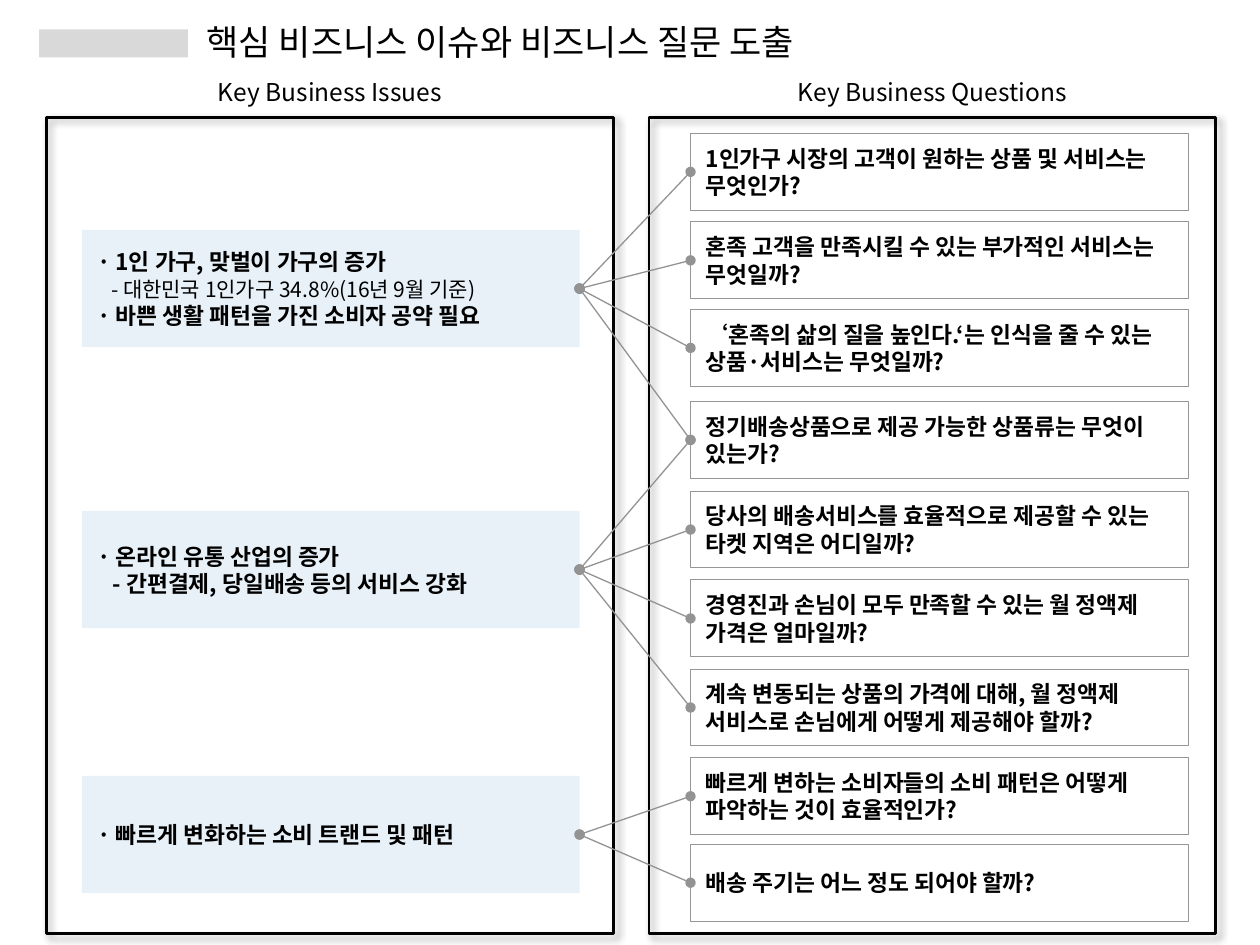
from lxml import etree
from pptx import Presentation
from pptx.dml.color import RGBColor
from pptx.enum.shapes import MSO_CONNECTOR as Connector, MSO_SHAPE as Shape
from pptx.enum.text import MSO_ANCHOR as Anchor, MSO_AUTO_SIZE as AutoSize, PP_ALIGN as Align
from pptx.oxml.ns import qn
from pptx.util import Pt

FONT = "Noto Sans CJK KR"
RIGHT_SIDE, LEFT_SIDE = 3, 1
ITEM_WIDTH = 284.4

TITLE = "핵심 비즈니스 이슈와 비즈니스 질문 도출"

# Each issue: top within the panel, lines as (text, format), linked questions
ISSUES = [
    (64.4, [("· 1인 가구, 맞벌이 가구의 증가", {}),
            ("- 대한민국 1인가구 34.8%(16년 9월 기준)", {"indent": 8, "size": 12, "bold": False}),
            ("· 바쁜 생활 패턴을 가진 소비자 공약 필요", {})], [0, 1, 2, 3]),
    (225, [("· 온라인 유통 산업의 증가", {}),
           ("- 간편결제, 당일배송 등의 서비스 강화", {"indent": 9})], [3, 4, 5, 6]),
    (376.4, [("· 빠르게 변화하는 소비 트랜드 및 패턴", {})], [7, 8]),
]
# Each question: top within the panel, text
QUESTIONS = [
    (9.2, "1인가구 시장의 고객이 원하는 상품 및 서비스는 무엇인가?"),
    (59.8, "혼족 고객을 만족시킬 수 있는 부가적인 서비스는 무엇일까?"),
    (109.8, "‘혼족의 삶의 질을 높인다.‘는 인식을 줄 수 있는 상품·서비스는 무엇일까?"),
    (162.4, "정기배송상품으로 제공 가능한 상품류는 무엇이 있는가?"),
    (213.6, "당사의 배송서비스를 효율적으로 제공할 수 있는 타켓 지역은 어디일까?"),
    (264.4, "경영진과 손님이 모두 만족할 수 있는 월 정액제 가격은 얼마일까?"),
    (315.3, "계속 변동되는 상품의 가격에 대해, 월 정액제 서비스로 손님에게 어떻게 제공해야 할까?"),
    (366, "빠르게 변하는 소비자들의 소비 패턴은 어떻게 파악하는 것이 효율적인가?"),
    (415.4, "배송 주기는 어느 정도 되어야 할까?"),
]


def color(hex_value):
    return RGBColor.from_string(hex_value)


def add_text(paragraph, text, size=13, bold=True, hex_value="000000",
             align=Align.LEFT, spacing=None, indent=0):
    paragraph.alignment = align
    if spacing:
        paragraph.line_spacing = Pt(spacing)
    if indent:
        paragraph._p.get_or_add_pPr().set("marL", str(Pt(indent)))
    run = paragraph.add_run()
    run.text = text
    font = run.font
    font.size, font.bold, font.name = Pt(size), bold, FONT
    font.color.rgb = color(hex_value)
    etree.SubElement(font._element, qn("a:ea"), typeface=FONT)


def set_frame(shape, horizontal, vertical, anchor):
    frame = shape.text_frame
    frame.word_wrap = True
    frame.vertical_anchor = anchor
    frame.margin_left = frame.margin_right = Pt(horizontal)
    frame.margin_top = frame.margin_bottom = Pt(vertical)
    return frame


def add_rectangle(slide, box, fill=None, line=None, line_width=0.5):
    shape = slide.shapes.add_shape(Shape.RECTANGLE, *map(Pt, box))
    shape.shadow.inherit = False
    if fill:
        shape.fill.solid()
        shape.fill.fore_color.rgb = color(fill)
    else:
        shape.fill.background()
    if line:
        shape.line.color.rgb = color(line)
        shape.line.width = Pt(line_width)
    else:
        shape.line.fill.background()
    return shape


def add_item(slide, box, lines, **look):
    shape = add_rectangle(slide, box, **look)
    frame = set_frame(shape, 8.64, 5.76, Anchor.MIDDLE)
    for index, (text, text_format) in enumerate(lines):
        paragraph = frame.add_paragraph() if index else frame.paragraphs[0]
        add_text(paragraph, text, spacing=15.6, **text_format)
    return shape


def add_title(slide, box):
    left, top, width, height = box
    # Plain block ahead of the title
    add_rectangle(slide, (left + 8, top + 5, 85, 16), fill="D9D9D9")
    text_box = slide.shapes.add_textbox(*map(Pt, (left + 96.6, top, width - 96.6, height)))
    frame = set_frame(text_box, 7.2, 0, Anchor.TOP)
    add_text(frame.paragraphs[0], TITLE, size=20, bold=False)


def add_panel(slide, box, heading, overhang):
    left, top, width, height = box
    # Heading above the frame
    label = add_rectangle(slide, (left - overhang, top - 28.8, width + 2 * overhang, 28.1),
                          fill="FFFFFF")
    frame = set_frame(label, 8.64, 5.76, Anchor.MIDDLE)
    frame.auto_size = AutoSize.SHAPE_TO_FIT_TEXT
    add_text(frame.paragraphs[0], heading, size=14, bold=False, align=Align.CENTER)
    # Frame with a soft shadow
    outline = add_rectangle(slide, box, line="000000", line_width=1.5)
    effects = outline._element.spPr.find(qn("a:effectLst"))
    shadow = etree.SubElement(effects, qn("a:outerShdw"), blurRad=str(Pt(4)),
                              dist=str(Pt(3)), dir=str(45 * 60000), algn="tl", rotWithShape="0")
    shade = etree.SubElement(shadow, qn("a:srgbClr"), val="000000")
    etree.SubElement(shade, qn("a:alpha"), val="40000")


def add_issues(slide, box):
    left, top, width, height = box
    add_panel(slide, box, "Key Business Issues", 7.5)
    return [add_item(slide, (left + 20.2, top + offset, ITEM_WIDTH, 67), lines, fill="E8F1F8")
            for offset, lines, _ in ISSUES]


def add_questions(slide, box):
    left, top, width, height = box
    add_panel(slide, box, "Key Business Questions", 13.7)
    return [add_item(slide, (left + 23.8, top + offset, ITEM_WIDTH, 44), [(text, {})],
                     fill="FFFFFF", line="969696")
            for offset, text in QUESTIONS]


def add_link(slide, issue, question):
    link = slide.shapes.add_connector(Connector.STRAIGHT, 0, 0, 0, 0)
    link.begin_connect(issue, RIGHT_SIDE)
    link.end_connect(question, LEFT_SIDE)
    link.line.color.rgb = color("939393")
    link.line.width = Pt(0.75)
    line = link.line._get_or_add_ln()
    for end in ("a:headEnd", "a:tailEnd"):
        etree.SubElement(line, qn(end), type="oval")
    etree.SubElement(link._element.spPr, qn("a:effectLst"))


def main():
    presentation = Presentation()
    presentation.slide_width, presentation.slide_height = Pt(720), Pt(540)
    slide = presentation.slides.add_slide(presentation.slide_layouts[6])

    add_title(slide, (14.4, 11.8, 589.7, 40))
    issues = add_issues(slide, (26.6, 67, 324, 466.6))
    questions = add_questions(slide, (370.8, 67, 324, 466.6))

    # Links from each issue to its questions
    for issue, (_, _, targets) in zip(issues, ISSUES):
        for target in targets:
            add_link(slide, issue, questions[target])

    presentation.save("out.pptx")


if __name__ == "__main__":
    main()
